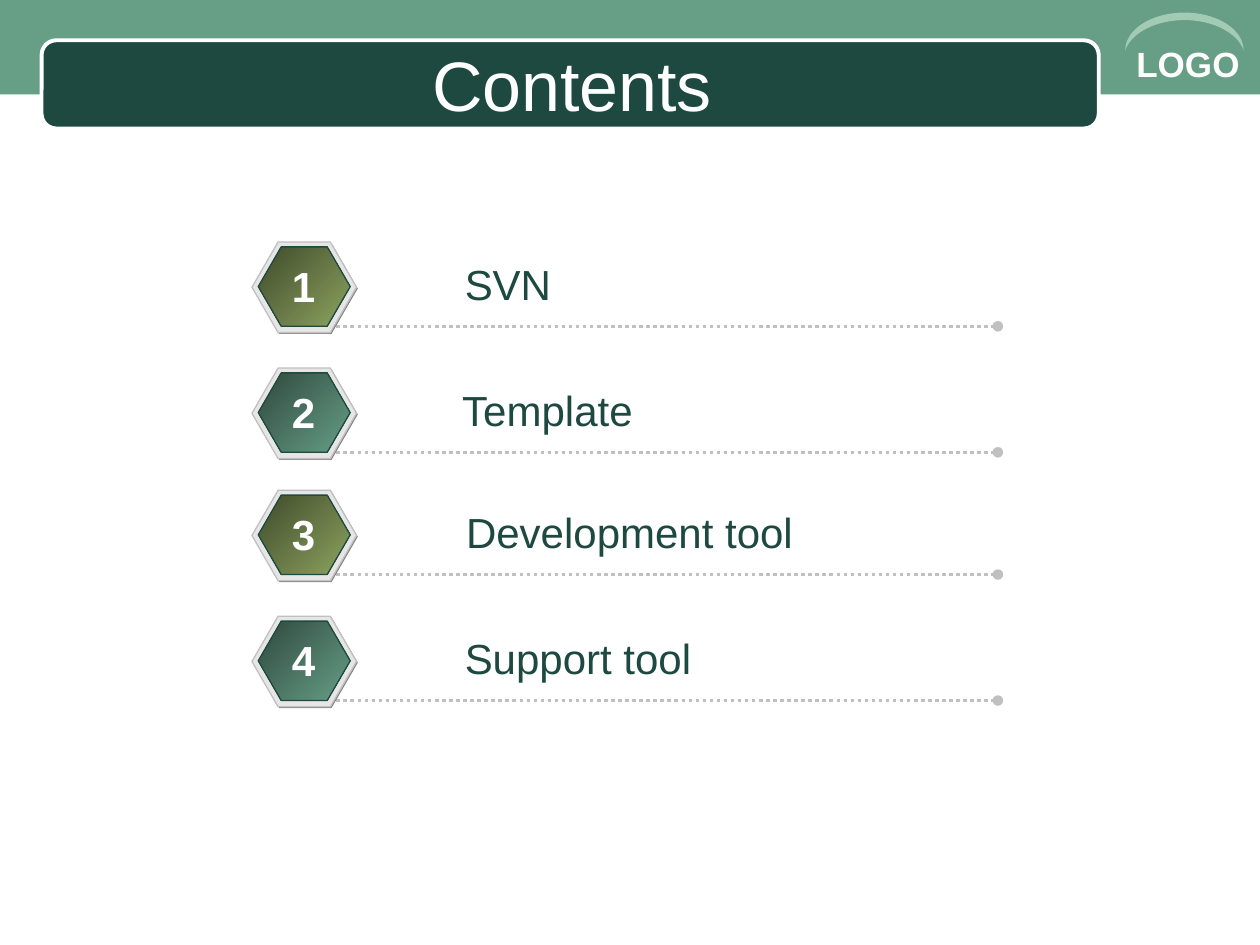
from lxml.etree import SubElement as Sub
from pptx import Presentation
from pptx.dml.color import RGBColor
from pptx.enum.dml import MSO_LINE as Dash
from pptx.enum.shapes import MSO_CONNECTOR as Conn, MSO_SHAPE as Kind
from pptx.enum.text import MSO_ANCHOR as Anchor, PP_ALIGN as Align
from pptx.oxml.ns import qn
from pptx.util import Inches, Pt

DARK, GREEN, WHITE, GREY = "1D4940", "669E86", "FFFFFF", "C0C0C0"
OLIVE, TEAL = ("414B2C", "8CA35F"), ("2F493E", GREEN)
ROWS = [
    (1.92, 3.59, 0.95, "SVN", OLIVE),
    (2.92, 3.57, 1.65, "Template", TEAL),
    (3.89, 3.6, 2.85, "Development tool", OLIVE),
    (4.89, 3.59, 2.05, "Support tool", TEAL),
]


def paint(target, color):
    """Give a fill a solid colour."""
    target.solid()
    target.fore_color.rgb = RGBColor.from_string(color)


def place(box):
    """Turn left, top, width and height into lengths."""
    return [Inches(n) for n in box]


def draw(shapes, kind, box, fill, line=None, width=0.75, adj=None):
    """Add a preset shape with a solid or two-colour fill."""
    shape = shapes.add_shape(kind, *place(box))
    shape.shadow.inherit = False
    if adj is not None:
        shape.adjustments[0] = adj
    if isinstance(fill, tuple):
        shape.fill.gradient()
        shape.fill.gradient_angle = 315
        for stop, color in zip(shape.fill.gradient_stops, fill):
            stop.color.rgb = RGBColor.from_string(color)
    else:
        paint(shape.fill, fill)
    if line:
        paint(shape.line.fill, line)
        shape.line.width = Pt(width)
    else:
        shape.line.fill.background()
    return shape


def style(para, size, color, bold=False, align=Align.LEFT):
    """Set the font and alignment of a paragraph."""
    para.alignment = align
    font = para.font
    font.name, font.size, font.bold = "Arial", Pt(size), bold
    font.color.rgb = RGBColor.from_string(color)


def label(shapes, box, text, size, color, bold=False, align=Align.LEFT):
    """Add a text box with one line of text."""
    frame = shapes.add_textbox(*place(box)).text_frame
    frame.word_wrap = True
    frame.text = text
    style(frame.paragraphs[0], size, color, bold, align)


def rule(shapes, top):
    """Add a dotted line that ends in a dot."""
    line = shapes.add_connector(Conn.STRAIGHT, *place((2.67, top, 7.92, top)))
    paint(line.line.fill, GREY)
    line.line.width = Pt(2)
    line.line.dash_style = Dash.ROUND_DOT
    Sub(line.line._get_or_add_ln(), qn("a:tailEnd"), type="oval")
    Sub(line._element.spPr, qn("a:effectLst"))


def badge(shapes, top, fill):
    """Add a group of three stacked hexagons."""
    group = shapes.add_group_shape().shapes
    layers = [
        ((2.01, top + 0.01, 0.83, 0.72), "808080", None),
        ((2, top, 0.83, 0.72), "E6E6E6", GREY),
        ((2.05, top + 0.04, 0.73, 0.63), fill, DARK),
    ]
    for box, color, line in layers:
        draw(group, Kind.HEXAGON, box, color, line, adj=0.289)


def header(slide):
    """Add the band, the title bar, the corner mark and the title."""
    shapes = slide.shapes
    draw(shapes, Kind.RECTANGLE, (0, 0, 10, 0.75), GREEN)
    draw(shapes, Kind.ROUNDED_RECTANGLE, (0.33, 0.32, 8.39, 0.7), DARK, WHITE, 2.25, 0.167)
    label(shapes, (8.92, 0.29, 1.08, 0.44), "LOGO", 20, WHITE, True)
    moon = draw(shapes, Kind.MOON, (9.25, -0.22, 0.3, 0.94), "A2CAB4", adj=0.2)
    moon.rotation = 90
    title = shapes.title
    title.left, title.top, title.width, title.height = place((0.5, 0.35, 8.08, 0.62))
    title.text_frame.text = "Contents"
    title.text_frame.vertical_anchor = Anchor.MIDDLE
    style(title.text_frame.paragraphs[0], 40, WHITE, align=Align.CENTER)
    shapes._spTree.append(title._element)


def main():
    """Build the contents slide."""
    deck = Presentation()
    deck.slide_width, deck.slide_height = Inches(10), Inches(7.5)
    slide = deck.slides.add_slide(deck.slide_layouts[5])
    header(slide)
    shapes = slide.shapes
    for num, (top, left, width, text, fill) in enumerate(ROWS, 1):
        rule(shapes, top + 0.67)
        badge(shapes, top, fill)
        label(shapes, (left, top + 0.08, width, 0.5), text, 24, DARK)
        label(shapes, (2.21, top + 0.1, 0.4, 0.5), str(num), 24, WHITE, True, Align.CENTER)
    deck.save("out.pptx")


if __name__ == "__main__":
    main()
